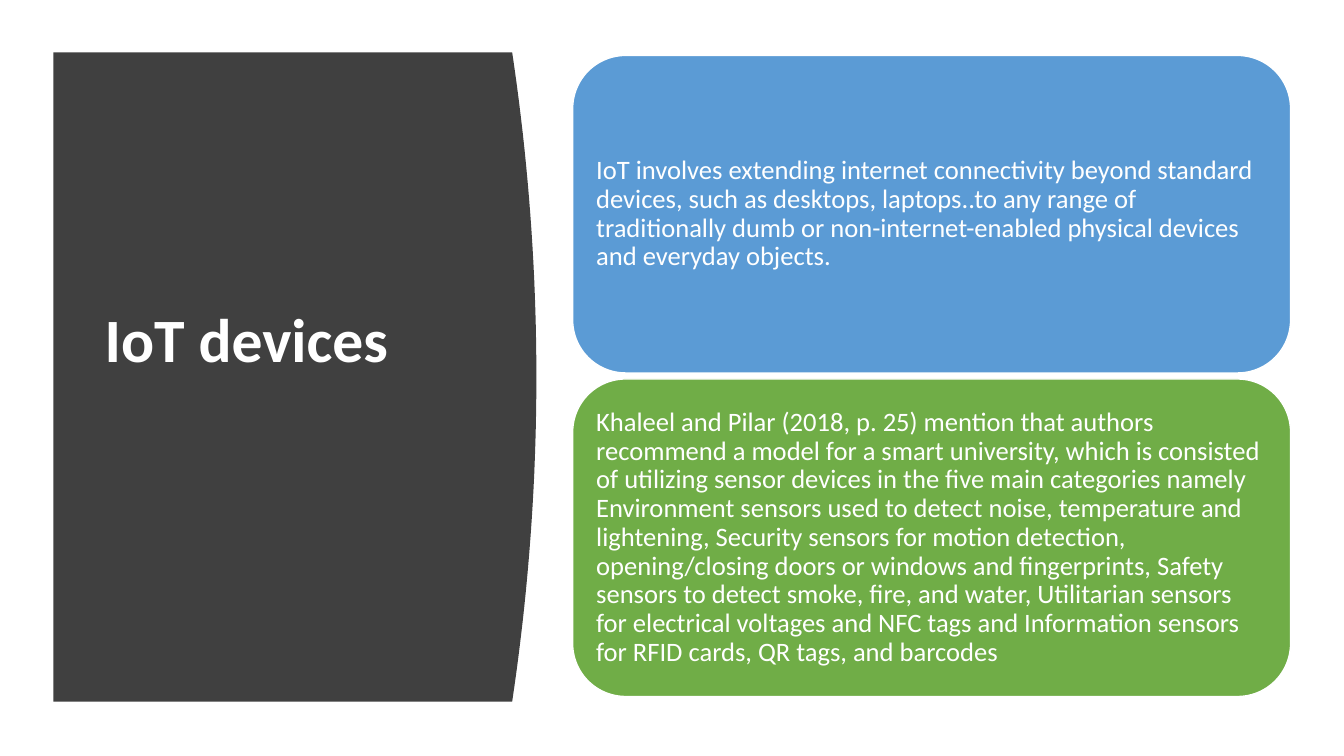
from pptx import Presentation
from pptx.dml.color import RGBColor
from pptx.enum.shapes import MSO_SHAPE as Shape
from pptx.enum.text import MSO_ANCHOR as Anchor, PP_ALIGN as Align
from pptx.util import Pt

PX = 9144
THEME = {
    "font": "Calibri",
    "white": RGBColor.from_string("FFFFFF"),
    "panel": RGBColor.from_string("404040"),
    "blue": RGBColor.from_string("5B9BD5"),
    "green": RGBColor.from_string("70AD47"),
    "title_size": Pt(44),
    "body_size": Pt(19),
    "outline": Pt(1),
}


def write(holder, text, size, bold=False, insets=(8, 8, 8, 8)):
    frame = holder.text_frame
    frame.word_wrap = True
    frame.vertical_anchor = Anchor.MIDDLE
    frame.margin_left, frame.margin_top, frame.margin_right, frame.margin_bottom = (
        inset * PX for inset in insets
    )
    paragraph = frame.paragraphs[0]
    paragraph.alignment = Align.LEFT
    paragraph.line_spacing = 0.9
    run = paragraph.add_run()
    run.text = text
    run.font.name = THEME["font"]
    run.font.size = size
    run.font.bold = bold
    run.font.color.rgb = THEME["white"]


deck = Presentation()
deck.slide_width, deck.slide_height = 1333 * PX, 750 * PX
slide = deck.slides.add_slide(deck.slide_layouts[6])

panel_left, panel_top, panel_bottom = 53, 52, 696
corner_x, bulge, steps = 508, 24, 40
curve = []
for step in range(steps + 1):
    t = step / steps
    x = corner_x + bulge * (1 - (2 * t - 1) ** 2)
    y = panel_top + (panel_bottom - panel_top) * t
    curve.append((round(x * PX), round(y * PX)))
outline = slide.shapes.build_freeform(panel_left * PX, panel_top * PX)
outline.add_line_segments(curve + [(panel_left * PX, panel_bottom * PX)], close=True)
panel = outline.convert_to_shape()
panel.shadow.inherit = False
panel.fill.solid()
panel.fill.fore_color.rgb = THEME["panel"]
panel.line.fill.background()

title = slide.shapes.add_textbox(94 * PX, 111 * PX, 374 * PX, 524 * PX)
write(title, "IoT devices", THEME["title_size"], bold=True, insets=(10, 5, 10, 72))

statements = [
    (
        "blue",
        "IoT involves extending internet connectivity beyond standard devices, such as "
        "desktops, laptops..to any range of traditionally dumb or non-internet-enabled "
        "physical devices and everyday objects.",
    ),
    (
        "green",
        "Khaleel and Pilar (2018, p. 25) mention that authors recommend a model for a "
        "smart university, which is consisted of utilizing sensor devices in the five "
        "main categories namely Environment sensors used to detect noise, temperature "
        "and lightening, Security sensors for motion detection, opening/closing doors "
        "or windows and fingerprints, Safety sensors to detect smoke, fire, and water, "
        "Utilitarian sensors for electrical voltages and NFC tags and Information "
        "sensors for RFID cards, QR tags, and barcodes",
    ),
]
card_top, card_height, card_gap = 55, 315, 6
for index, (color, statement) in enumerate(statements):
    top = card_top + index * (card_height + card_gap)
    card = slide.shapes.add_shape(
        Shape.ROUNDED_RECTANGLE, 568 * PX, top * PX, 712 * PX, card_height * PX
    )
    card.shadow.inherit = False
    card.fill.solid()
    card.fill.fore_color.rgb = THEME[color]
    card.line.color.rgb = THEME["white"]
    card.line.width = THEME["outline"]
    write(card, statement, THEME["body_size"])

deck.save("out.pptx")
